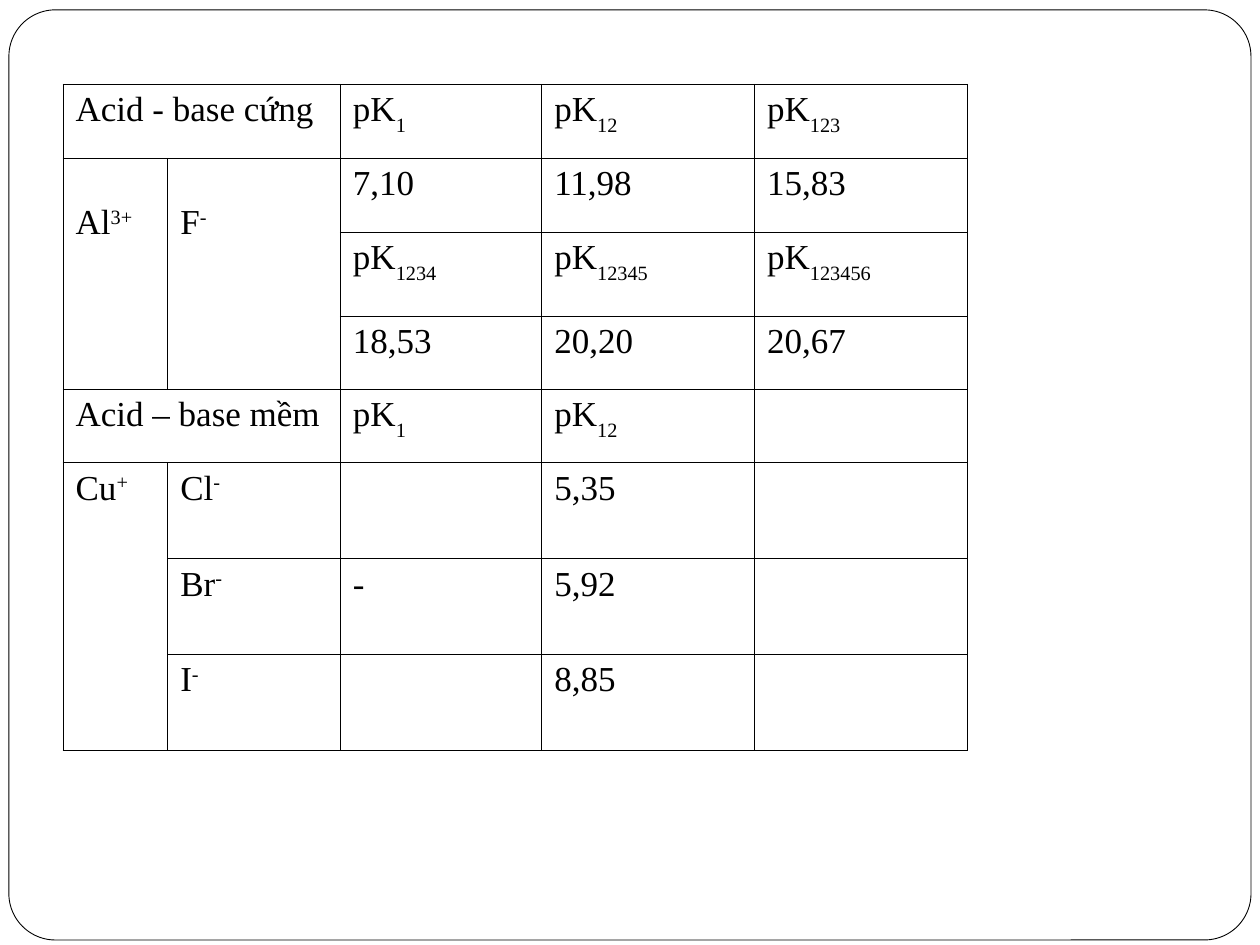
from pptx import Presentation
from pptx.dml.color import RGBColor
from pptx.enum.shapes import MSO_SHAPE
from pptx.oxml import parse_xml
from pptx.oxml.ns import nsdecls
from pptx.util import Cm, Pt

BLACK, WHITE = "000000", "FFFFFF"
COLS = [2.11, 3.48, 4.06, 4.29, 4.29]
ROWS = [1.49, 1.49, 1.69, 1.47, 1.49, 1.93, 1.93, 1.93]

# "_" starts a subscript, "^" a superscript
CELLS = [
    ["Acid - base cứng", "", "pK_1", "pK_12", "pK_123"],
    ["Al^3+", "F^-", "7,10", "11,98", "15,83"],
    ["", "", "pK_1234", "pK_12345", "pK_123456"],
    ["", "", "18,53", "20,20", "20,67"],
    ["Acid – base mềm", "", "pK_1", "pK_12", ""],
    ["Cu^+", "Cl^-", "", "5,35", ""],
    ["", "Br^-", "-", "5,92", ""],
    ["", "I^-", "", "8,85", ""],
]
# First and last cell of each merged block
MERGES = [((0, 0), (0, 1)), ((1, 0), (3, 0)), ((1, 1), (3, 1)),
          ((4, 0), (4, 1)), ((5, 0), (7, 0))]


def paint(fill, color):
    fill.solid()
    fill.fore_color.rgb = RGBColor.from_string(color)


def add_frame(slide, left, top, width, height):
    frame = slide.shapes.add_shape(MSO_SHAPE.ROUNDED_RECTANGLE,
                                   Cm(left), Cm(top), Cm(width), Cm(height))
    frame.adjustments[0] = 0.05
    frame.shadow.inherit = False
    paint(frame.fill, WHITE)
    paint(frame.line.fill, BLACK)
    frame.line.width = Pt(0.5)


def add_border(cell):
    props = cell._tc.get_or_add_tcPr()
    for side in ("lnL", "lnR", "lnT", "lnB"):
        props.append(parse_xml(
            f'<a:{side} {nsdecls("a")} w="{Pt(0.45)}"><a:solidFill>'
            f'<a:srgbClr val="{BLACK}"/></a:solidFill></a:{side}>'))


def write(cell, text):
    para = cell.text_frame.paragraphs[0]
    para.font.name = "Times New Roman"
    para.font.size = Pt(20)
    para.font.color.rgb = RGBColor.from_string(BLACK)
    for mark, shift in (("_", "-30000"), ("^", "30000")):
        if mark in text:
            base, small = text.split(mark)
            para.add_run().text = base
            run = para.add_run()
            run.text = small
            run._r.get_or_add_rPr().set("baseline", shift)
            return
    if text:
        para.add_run().text = text


def add_grid(slide, left, top):
    table = slide.shapes.add_table(len(ROWS), len(COLS), Cm(left), Cm(top),
                                   Cm(sum(COLS)), Cm(sum(ROWS))).table
    table.first_row = table.horz_banding = False
    for col, width in zip(table.columns, COLS):
        col.width = Cm(width)
    for row, height, texts in zip(table.rows, ROWS, CELLS):
        row.height = Cm(height)
        for cell, text in zip(row.cells, texts):
            add_border(cell)
            paint(cell.fill, WHITE)
            write(cell, text)
    for first, last in MERGES:
        table.cell(*first).merge(table.cell(*last))
    # The aluminium and fluoride labels sit one line lower
    for col in (0, 1):
        table.cell(1, col).margin_top = Cm(0.91)


def main():
    deck = Presentation()
    deck.slide_width, deck.slide_height = Cm(25.4), Cm(19.05)
    slide = deck.slides.add_slide(deck.slide_layouts[6])
    add_frame(slide, 0.18, 0.2, 25.04, 18.75)
    add_grid(slide, 1.27, 1.7)
    deck.save("out.pptx")


if __name__ == "__main__":
    main()
